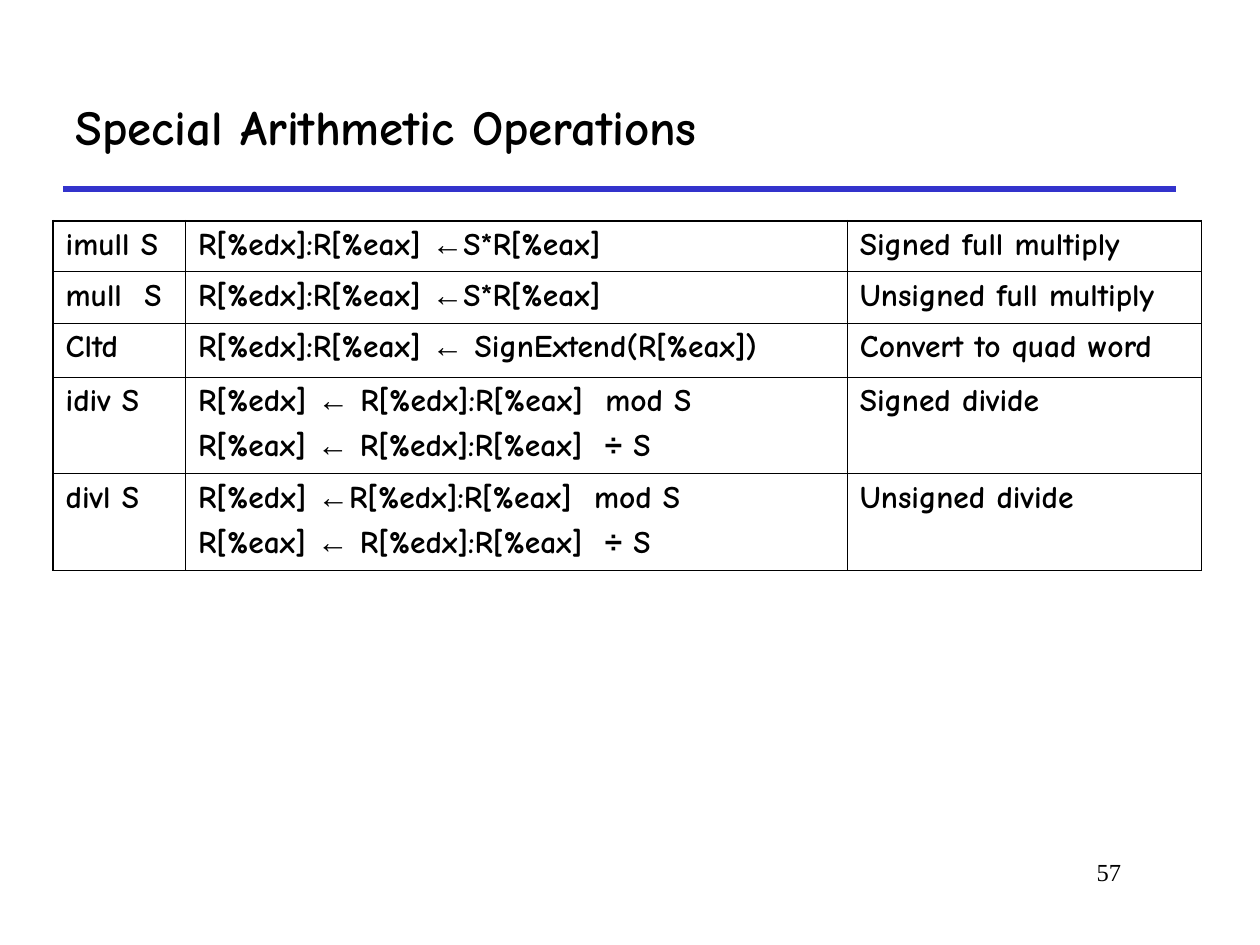
"""Build the slide on special arithmetic operations."""
from dataclasses import dataclass
from itertools import groupby

from lxml import etree
from pptx import Presentation
from pptx import util as u
from pptx.dml.color import RGBColor
from pptx.enum import shapes, text
from pptx.oxml import ns


@dataclass(frozen=True)
class Theme:
    ink: str = "000000"
    rule: str = "3333CC"
    main_font: str = "Comic Neue"
    symbol_font: str = "Arial"
    number_font: str = "Times New Roman"
    title_size: int = 28
    body_size: int = 18
    number_size: int = 14
    rule_width: float = 3
    outer_border: float = 1.08
    inner_border: float = 0.45
    para_gap: float = 4.5


SYMBOLS = "←÷"
COLS = (2.67, 13.34, 7.14)
HEIGHTS = (1.02, 1.04, 1.09, 1.95, 1.95)
ROWS = (
    ("imull S", "R[%edx]:R[%eax] ←S*R[%eax]", "Signed full multiply"),
    ("mull  S", "R[%edx]:R[%eax] ←S*R[%eax]", "Unsigned full multiply"),
    ("Cltd", "R[%edx]:R[%eax] ← SignExtend(R[%eax])", "Convert to quad word"),
    ("idiv S", "R[%edx] ← R[%edx]:R[%eax]  mod S\nR[%eax] ← R[%edx]:R[%eax]  ÷ S", "Signed divide"),
    ("divl S", "R[%edx] ←R[%edx]:R[%eax]  mod S\nR[%eax] ← R[%edx]:R[%eax]  ÷ S", "Unsigned divide"),
)


def write(tf, content, *, font, size, color, symbol_font=None, bold=False, align=text.PP_ALIGN.LEFT, gap=0):
    for i, line in enumerate(content.split("\n")):
        p = tf.add_paragraph() if i else tf.paragraphs[0]
        p.alignment = align
        p.space_before = u.Pt(gap if i else 0)
        for is_symbol, chars in groupby(line, key=lambda c: c in SYMBOLS):
            r = p.add_run()
            r.text = "".join(chars)
            r.font.name = symbol_font if is_symbol and symbol_font else font
            r.font.size = u.Pt(size)
            r.font.bold = bold
            r.font.color.rgb = RGBColor.from_string(color)


class Deck:
    def __init__(self, theme):
        self.theme = theme
        self.prs = Presentation()
        self.prs.slide_width, self.prs.slide_height = u.Cm(25.4), u.Cm(19.05)
        self.s = self.prs.slides.add_slide(self.prs.slide_layouts[6])

    def rule(self, x1, x2, y):
        sp = self.s.shapes.add_connector(
            shapes.MSO_CONNECTOR.STRAIGHT, u.Cm(x1), u.Cm(y), u.Cm(x2), u.Cm(y))
        sp.line.color.rgb = RGBColor.from_string(self.theme.rule)
        sp.line.width = u.Pt(self.theme.rule_width)
        etree.SubElement(sp._element.spPr, ns.qn("a:effectLst"))

    def label(self, content, box, *, anchor=text.MSO_ANCHOR.TOP, **style):
        tf = self.s.shapes.add_textbox(*map(u.Cm, box)).text_frame
        tf.word_wrap = True
        tf.vertical_anchor = anchor
        write(tf, content, color=self.theme.ink, **style)

    def border(self, cell, side, width):
        ln = etree.SubElement(cell._tc.get_or_add_tcPr(), ns.qn(f"a:ln{side}"), w=str(u.Pt(width)))
        fill = etree.SubElement(ln, ns.qn("a:solidFill"))
        etree.SubElement(fill, ns.qn("a:srgbClr"), val=self.theme.ink)

    def table(self, rows, left, top, widths, heights):
        t = self.theme
        tbl = self.s.shapes.add_table(len(rows), len(widths), u.Cm(left), u.Cm(top),
                                      u.Cm(sum(widths)), u.Cm(sum(heights))).table
        tbl.first_row = tbl.horz_banding = False
        for col, width in zip(tbl.columns, widths):
            col.width = u.Cm(width)
        for i, (row, height) in enumerate(zip(rows, heights)):
            tbl.rows[i].height = u.Cm(height)
            for j, content in enumerate(row):
                cell = tbl.cell(i, j)
                outer = {"L": j == 0, "R": j == len(widths) - 1,
                         "T": i == 0, "B": i == len(rows) - 1}
                for side, is_outer in outer.items():
                    self.border(cell, side, t.outer_border if is_outer else t.inner_border)
                cell.fill.background()
                write(cell.text_frame, content, font=t.main_font, size=t.body_size, color=t.ink,
                      symbol_font=t.symbol_font, bold=True, gap=t.para_gap)


def main():
    theme = Theme()
    deck = Deck(theme)
    deck.rule(1.27, 23.7, 3.81)
    deck.label("57", (19.25, 17.15, 3.6, 1.27), font=theme.number_font,
               size=theme.number_size, align=text.PP_ALIGN.RIGHT)
    deck.label("Special Arithmetic Operations", (1.27, 1.27, 22.43, 2.54), font=theme.main_font,
               size=theme.title_size, bold=True, anchor=text.MSO_ANCHOR.MIDDLE)
    deck.table(ROWS, 1.07, 4.45, COLS, HEIGHTS)
    deck.prs.save("out.pptx")


if __name__ == "__main__":
    main()
